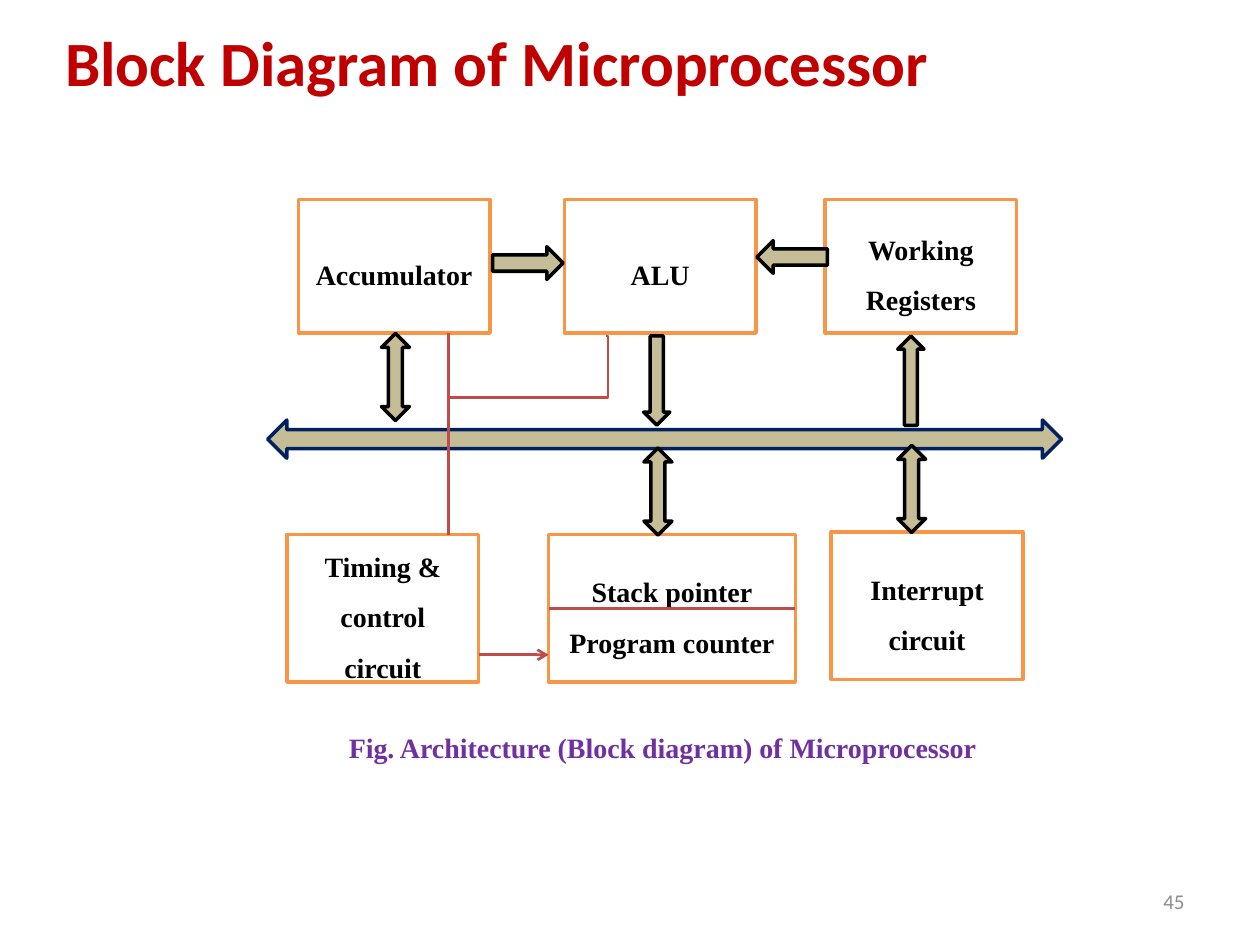
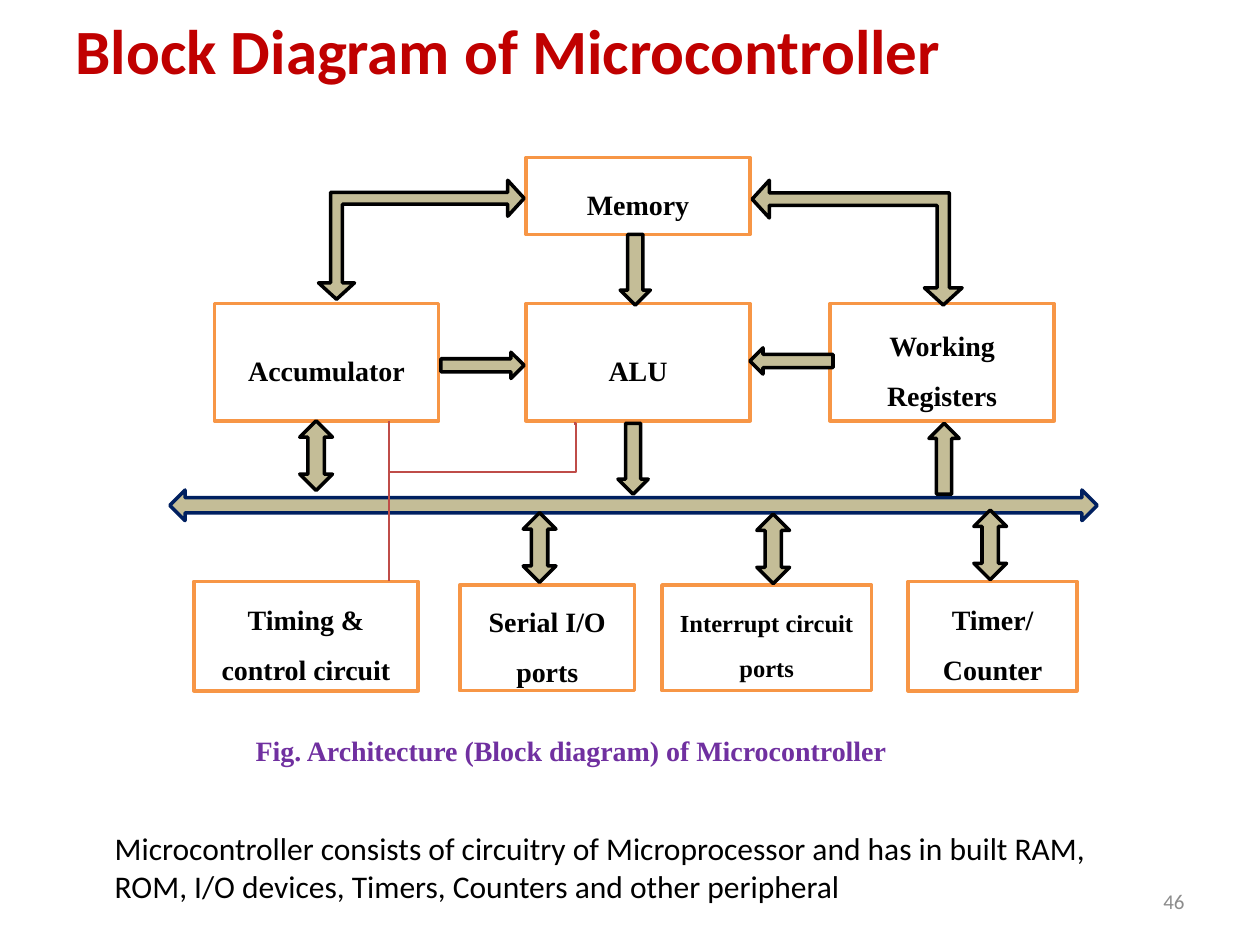
from pptx import Presentation
from pptx.dml.color import RGBColor
from pptx.enum.shapes import MSO_CONNECTOR as Wire, MSO_SHAPE as Shape
from pptx.enum.text import MSO_ANCHOR as Anchor, MSO_AUTO_SIZE as AutoSize, PP_ALIGN as Align
from pptx.oxml.ns import qn
from pptx.util import Pt
from lxml.etree import SubElement

RED, ORANGE, PURPLE = "C00000", "F79646", "7030A0"
TAN, NAVY, SIGNAL = "C4BD97", "002060", "BF4C48"
BLACK, WHITE, GREY = "000000", "FFFFFF", "8C8C8C"
SANS, SERIF = "Calibri", "Times New Roman"


def color(hex_string):
    return RGBColor.from_string(hex_string)


def points(*values):
    return [Pt(value) for value in values]


def write(frame, text, size=16, font=SERIF, ink=BLACK, bold=False, align=Align.LEFT,
          anchor=Anchor.TOP, spacing=None, after=None):
    frame.word_wrap = True
    frame.auto_size = AutoSize.NONE
    frame.vertical_anchor = anchor
    frame.text = text
    for paragraph in frame.paragraphs:
        paragraph.alignment = align
        if spacing:
            paragraph.line_spacing = spacing
        if after:
            paragraph.space_after = Pt(after)
        for run in paragraph.runs:
            run.font.size = Pt(size)
            run.font.name = font
            run.font.bold = bold
            run.font.color.rgb = color(ink)


def add_text(slide, text, box, **style):
    write(slide.shapes.add_textbox(*points(*box)).text_frame, text, **style)


def add_figure(slide, kind, box, fill, outline=None):
    figure = slide.shapes.add_shape(kind, *points(*box))
    figure.shadow.inherit = False
    figure.fill.solid()
    figure.fill.fore_color.rgb = color(fill)
    if outline:
        figure.line.color.rgb = color(outline)
        figure.line.width = Pt(2)
    else:
        figure.line.fill.background()
    return figure


def add_block(slide, text, box, size=16):
    block = add_figure(slide, Shape.RECTANGLE, box, WHITE, ORANGE)
    write(block.text_frame, text, size=size, bold=True, align=Align.CENTER,
          anchor=Anchor.MIDDLE, spacing=1.5)
    return block


def add_core_row(slide, lefts, top, width, height):
    for text, left in zip(("Accumulator", "ALU", "Working Registers"), lefts):
        add_block(slide, text, (left, top, width, height))


def add_arrow(slide, kind, box, rotation=0, outline=BLACK):
    arrow = add_figure(slide, kind, box, TAN, outline)
    arrow.rotation = rotation
    return arrow


def add_double_arrows(slide, width, height, positions):
    for left, top in positions:
        add_arrow(slide, Shape.UP_DOWN_ARROW, (left, top, width, height))


def add_corner_arrow(slide, box, mirrored=False):
    arrow = add_arrow(slide, Shape.LEFT_UP_ARROW, box, 180)
    for index, value in enumerate((0.1, 0.151, 0.138)):
        arrow.adjustments[index] = value
    if mirrored:
        arrow.element.spPr.get_or_add_xfrm().set("flipH", "1")


def add_wire(slide, start, end, kind=Wire.STRAIGHT, pointed=False):
    wire = slide.shapes.add_connector(kind, *points(*start, *end))
    wire.line.color.rgb = color(SIGNAL)
    wire.line.width = Pt(1.5)
    properties = wire.element.spPr
    if pointed:
        SubElement(properties.find(qn("a:ln")), qn("a:tailEnd"), type="arrow")
    SubElement(properties, qn("a:effectLst"))
    return wire


def add_control_wires(slide, x, top, bottom, alu_port, join_y):
    add_wire(slide, (x, top), (x, bottom))
    elbow = add_wire(slide, alu_port, (x, join_y), Wire.ELBOW)
    geometry = elbow.element.spPr.find(qn("a:prstGeom"))
    guides = geometry.find(qn("a:avLst"))
    if guides is None:
        guides = SubElement(geometry, qn("a:avLst"))
    SubElement(guides, qn("a:gd"), name="adj1", fmla="val -1300")


def add_caption(slide, subject, box):
    caption = add_figure(slide, Shape.RECTANGLE, box, WHITE)
    write(caption.text_frame, f"Fig. Architecture (Block diagram) of {subject}",
          ink=PURPLE, bold=True, spacing=1.5, after=6)


def start_slide(deck, subject, number, title_box):
    slide = deck.slides.add_slide(deck.slide_layouts[5])
    title = slide.shapes.title
    title.left, title.top, title.width, title.height = points(*title_box)
    write(title.text_frame, f"Block Diagram of {subject}", size=36, font=SANS,
          ink=RED, bold=True, anchor=Anchor.MIDDLE)
    add_text(slide, number, (516, 500.5, 168, 28.75), size=12, font=SANS, ink=GREY,
             align=Align.RIGHT, anchor=Anchor.MIDDLE)
    return slide


def build_microprocessor(deck):
    slide = start_slide(deck, "Microprocessor", "45", (30, 6, 648, 57.6))
    add_core_row(slide, (170.5, 322.5, 471.5), 114, 109.5, 76.3)
    add_block(slide, "Timing & control circuit", (164, 305.5, 109.5, 84.3))
    add_block(slide, "Interrupt circuit", (475, 304, 109.5, 84.3))
    counters = add_block(slide, "Stack pointer\nProgram counter", (313.5, 305.5, 141, 84.3))

    add_arrow(slide, Shape.LEFT_RIGHT_ARROW, (153, 240, 453.6, 21.8), outline=NAVY)
    add_double_arrows(slide, 16, 49.8, ((218, 190.5), (368, 256), (513, 254.5)))
    add_arrow(slide, Shape.RIGHT_ARROW, (349.75, 210, 51, 15), 90)
    add_arrow(slide, Shape.RIGHT_ARROW, (495, 210, 51, 15), 270)
    add_arrow(slide, Shape.RIGHT_ARROW, (281.5, 141, 40.3, 18.7))
    add_arrow(slide, Shape.RIGHT_ARROW, (432.5, 137.5, 40.3, 18.7), 180)

    add_wire(slide, (273.5, 374.2), (313.5, 374.2), pointed=True)
    divider = add_wire(slide, (313.5, 347.65), (454.5, 347.65))
    divider.begin_connect(counters, 1)
    divider.end_connect(counters, 3)
    add_control_wires(slide, 256.2, 190.5, 305.5, (346.2, 192), 227)
    add_caption(slide, "Microprocessor", (192.25, 404.6, 414.7, 39.6))


def build_microcontroller(deck):
    slide = start_slide(deck, "Microcontroller", "46", (36, 0, 648, 56.2))
    add_core_row(slide, (122.5, 300.5, 474.25), 173.5, 128.2, 67)
    add_block(slide, "Memory", (300.5, 90, 128.2, 44))
    add_block(slide, "Timing & control circuit", (110.75, 332.25, 128.2, 62.5))
    add_block(slide, "Serial I/O ports", (262.75, 334.25, 100, 60.5))
    add_block(slide, "Interrupt circuit\nports", (378.25, 334.25, 119.75, 60.5), size=14)
    add_block(slide, "Timer/ Counter", (519, 332.25, 96.5, 62.5))

    add_arrow(slide, Shape.LEFT_RIGHT_ARROW, (97, 280, 530, 17.5), outline=NAVY)
    add_double_arrows(slide, 18.7, 39.8,
                      ((171.3, 240.5), (299, 293), (432.5, 293.75), (556.5, 291.5)))
    for left, top, rotation in ((341.5, 253.5, 90), (519.25, 253.5, 270), (342.75, 145.5, 90)):
        add_arrow(slide, Shape.RIGHT_ARROW, (left, top, 40.5, 17.3), rotation)
    add_arrow(slide, Shape.RIGHT_ARROW, (252, 201.25, 47.5, 15))
    add_arrow(slide, Shape.RIGHT_ARROW, (428.5, 198.75, 47.5, 15), 180)
    add_corner_arrow(slide, (182, 103, 117.5, 68))
    add_corner_arrow(slide, (429.75, 103, 120, 71.3), mirrored=True)

    add_control_wires(slide, 222.4, 240.5, 332.25, (327.75, 242), 269.75)
    add_caption(slide, "Microcontroller", (139, 406, 478.8, 31.7))
    add_text(slide, "Microcontroller consists of circuitry of Microprocessor and has in built RAM, "
             "ROM, I/O devices, Timers, Counters and other peripheral",
             (58.5, 470.25, 601, 51), size=18, font=SANS)


def main():
    deck = Presentation()
    deck.slide_width, deck.slide_height = points(720, 540)
    build_microprocessor(deck)
    build_microcontroller(deck)
    deck.save("out.pptx")


if __name__ == "__main__":
    main()
